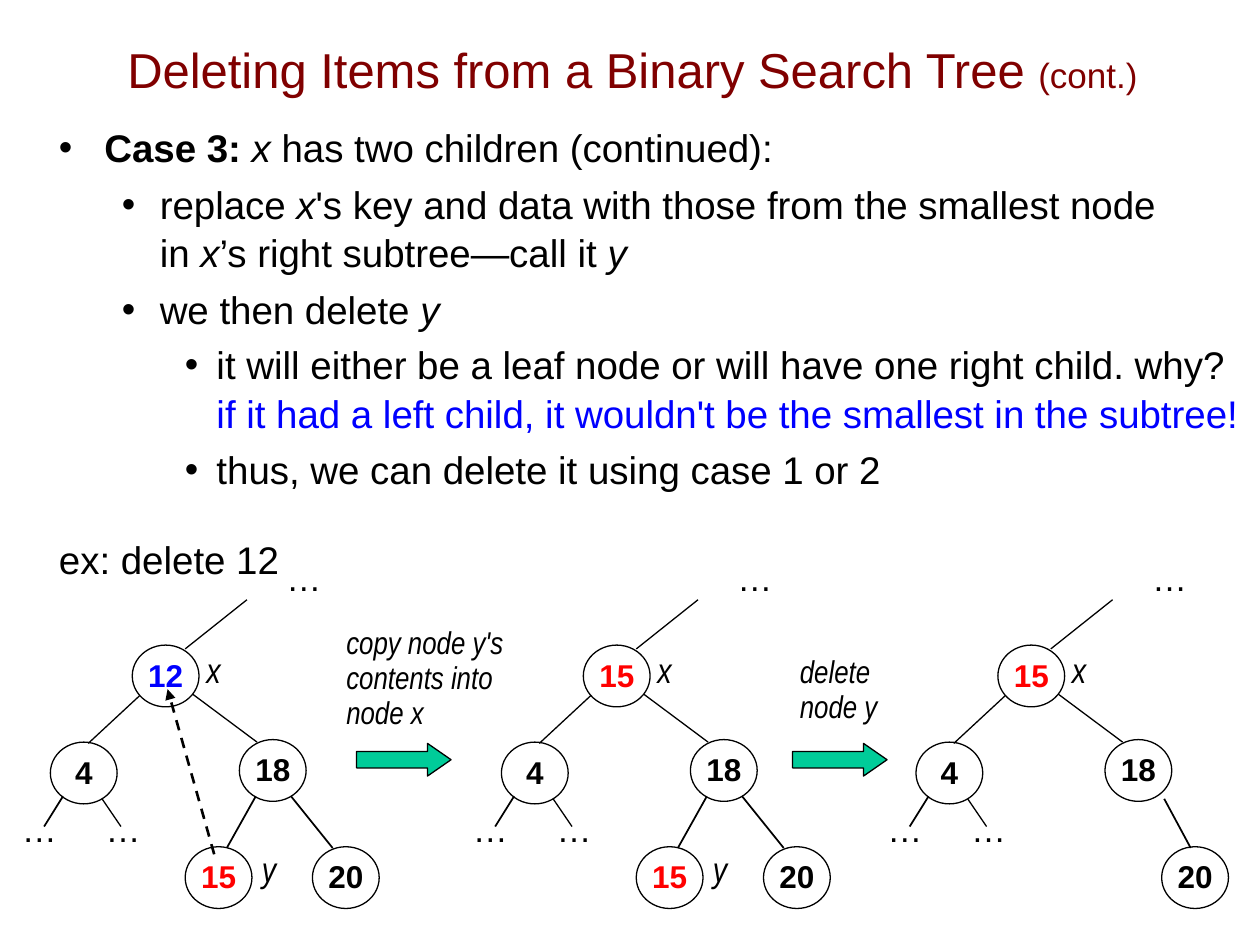
from lxml.etree import SubElement
from pptx import Presentation
from pptx.dml.color import RGBColor
from pptx.enum.dml import MSO_LINE
from pptx.enum.shapes import MSO_CONNECTOR, MSO_SHAPE
from pptx.enum.text import MSO_ANCHOR, PP_ALIGN
from pptx.oxml.ns import qn
from pptx.util import Inches, Pt

SLIDE_W, SLIDE_H = Inches(10), Inches(7.5)
COL, ROW = SLIDE_W / 100, SLIDE_H / 75

BLACK = RGBColor(0x00, 0x00, 0x00)
WHITE = RGBColor(0xFF, 0xFF, 0xFF)
MAROON = RGBColor(0x80, 0x00, 0x00)
BLUE = RGBColor(0x00, 0x00, 0xFF)
RED = RGBColor(0xFF, 0x00, 0x00)
GREEN = RGBColor(0x00, 0xCC, 0x99)

BOLD = {"bold": True}
ITALIC = {"italic": True}
LABEL = {"size": 20, "font": "Arial Narrow", "italic": True}
CAPTION = {"size": 18, "font": "Arial Narrow", "italic": True}

TREE_TOP, TREE_W, TREE_H = 43.7, 30, 28.4
NODE_W, NODE_H = 5.3, 4.9
ROOT, LEFT, RIGHT = (9.8, 7.5), (3.3, 15.2), (18.3, 15)
SMALLEST, LARGEST, LARGEST_ALONE = (14, 23.5), (24.1, 23.5), (22.8, 23.5)
TREE_EDGES = [
    ((18.9, 3.9), (14, 7.8), 0.75),
    ((10.4, 11.5), (6.3, 15.3), 0.75),
    ((14.6, 11.4), (19.7, 15.2), 0.75),
    ((7.4, 19.7), (8.9, 21.9), 0.75),
    ((4.3, 19.5), (2.8, 21.9), 1),
]
FULL_EDGES = [((22.4, 19.5), (25.7, 23.6), 1), ((19.6, 19.5), (17.3, 23.6), 1)]
PRUNED_EDGES = [((23, 19.7), (25.1, 23.6), 1)]
ELLIPSES = [(21, 0), (0, 19.9), (6.65, 19.9)]

BODY = [
    (0, 0, [("Case 3: ", BOLD), ("x", ITALIC), (" has two children (continued):", {})]),
    (1, 5.2, [("replace ", {}), ("x", ITALIC),
              ("'s key and data with those from the smallest node \nin ", {}),
              ("x", ITALIC), ("’s right subtree—call it ", {}), ("y", ITALIC)]),
    (1, 5.2, [("we then delete ", {}), ("y", ITALIC)]),
    (2, 4.2, [("it will either be a leaf node or will have one right child. why?\n", {}),
              ("if it had a left child, it wouldn't be the smallest in the subtree!",
               {"color": BLUE})]),
    (2, 5, [("thus, we can delete it using case 1 or 2", {})]),
    (None, 24, [("ex: delete 12", {})]),
]
INDENTS = [(3.6, 3.6), (8, 3), (12.5, 2.5)]


def grid(left, top, width, height):
    return int(left * COL), int(top * ROW), int(width * COL), int(height * ROW)


def write(paragraph, text, size=22, font="Arial", color=BLACK, bold=False, italic=False):
    for index, line in enumerate(text.split("\n")):
        if index:
            paragraph.add_line_break()
        if line:
            run = paragraph.add_run()
            run.text = line
            run.font.size = Pt(size)
            run.font.name = font
            run.font.color.rgb = color
            run.font.bold = bold
            run.font.italic = italic


def text_area(slide, box, wrap=True):
    frame = slide.shapes.add_textbox(*grid(*box)).text_frame
    frame.word_wrap = wrap
    return frame


def label(slide, box, text, align=PP_ALIGN.RIGHT, leading=None, **text_format):
    paragraph = text_area(slide, box, wrap=False).paragraphs[0]
    paragraph.alignment = align
    if leading:
        paragraph.line_spacing = Pt(leading)
    write(paragraph, text, **text_format)


def preset(slide, kind, box, fill=None, outline=None):
    shape = slide.shapes.add_shape(kind, *grid(*box))
    shape.shadow.inherit = False
    if fill is None:
        shape.fill.background()
    else:
        shape.fill.solid()
        shape.fill.fore_color.rgb = fill
    if outline is None:
        shape.line.fill.background()
    else:
        shape.line.color.rgb = outline
        shape.line.width = Pt(0.75)
    return shape


def edge(slide, origin, start, end, weight):
    left, top = origin
    x1, y1, x2, y2 = grid(left + start[0], top + start[1], left + end[0], top + end[1])
    link = slide.shapes.add_connector(MSO_CONNECTOR.STRAIGHT, x1, y1, x2, y2)
    link.line.color.rgb = BLACK
    link.line.width = Pt(weight)
    SubElement(link._element.spPr, qn("a:effectLst"))
    return link


def node(slide, origin, place, key, color=BLACK):
    left, top = origin[0] + place[0], origin[1] + place[1]
    key_box = preset(slide, MSO_SHAPE.RECTANGLE, (left - 0.4, top + 0.3, 6.1, 4.1), WHITE)
    paragraph = key_box.text_frame.paragraphs[0]
    paragraph.alignment = PP_ALIGN.CENTER
    write(paragraph, key, size=18, color=color, bold=True)
    preset(slide, MSO_SHAPE.OVAL, (left, top, NODE_W, NODE_H), outline=BLACK)


def title(slide, box):
    frame = text_area(slide, box)
    frame.vertical_anchor = MSO_ANCHOR.MIDDLE
    heading = frame.paragraphs[0]
    heading.alignment = PP_ALIGN.CENTER
    write(heading, "Deleting Items from a Binary Search Tree ", size=28, color=MAROON)
    write(heading, "(cont.)", size=20, color=MAROON)


def body(slide, box):
    frame = text_area(slide, box)
    for index, (level, space, runs) in enumerate(BODY):
        paragraph = frame.add_paragraph() if index else frame.paragraphs[0]
        paragraph.space_before = Pt(space)
        paragraph.line_spacing = 1.04
        for text, text_format in runs:
            write(paragraph, text, **text_format)
        if level is not None:
            margin, hang = INDENTS[level]
            properties = paragraph._p.get_or_add_pPr()
            properties.set("marL", str(int(margin * COL)))
            properties.set("indent", str(int(-hang * COL)))
            SubElement(properties, qn("a:buFont"), typeface="Arial")
            SubElement(properties, qn("a:buChar"), char="•")


def tree(slide, box, root_key, root_color, pruned=False):
    origin = left, top = box[:2]
    node(slide, origin, ROOT, root_key, root_color)
    node(slide, origin, LEFT, "4")
    node(slide, origin, RIGHT, "18")
    node(slide, origin, LARGEST_ALONE if pruned else LARGEST, "20")
    if not pruned:
        node(slide, origin, SMALLEST, "15", RED)
        label(slide, (left + 19, top + 23.1, 3.2, 4.3), "y", **LABEL)
    label(slide, (left + 14.6, top + 7.3, 3.2, 4.3), "x", **LABEL)
    for start, end, weight in TREE_EDGES + (PRUNED_EDGES if pruned else FULL_EDGES):
        edge(slide, origin, start, end, weight)
    for x, y in ELLIPSES:
        label(slide, (left + x, top + y, 4.8, 4.4), "…", size=20)


def copy_arrow(slide, box):
    arrow = edge(slide, box[:2], (16.3, 24.1), (12.6, 11), 1.5)
    arrow.line.dash_style = MSO_LINE.DASH
    SubElement(arrow.line._get_or_add_ln(), qn("a:tailEnd"), type="triangle")


def step(slide, caption_box, arrow_left, caption):
    label(slide, caption_box, caption, align=PP_ALIGN.LEFT, leading=20, **CAPTION)
    arrow = preset(slide, MSO_SHAPE.RIGHT_ARROW, (arrow_left, 59, 7.5, 2.6), GREEN, BLACK)
    arrow.adjustments[1] = 0.72


def main():
    deck = Presentation()
    deck.slide_width, deck.slide_height = SLIDE_W, SLIDE_H
    slide = deck.slides.add_slide(deck.slide_layouts[6])
    title(slide, (4.3, 0.8, 91.8, 9.3))
    body(slide, (3.7, 9.2, 96.3, 61.4))
    before, copied, deleted = [(left, TREE_TOP, TREE_W, TREE_H) for left in (0.7, 36.5, 69.4)]
    tree(slide, before, "12", BLUE)
    copy_arrow(slide, before)
    step(slide, (26.5, 49.2, 15.2, 9.4), 28.3, "copy node y's\ncontents into \nnode x")
    tree(slide, copied, "15", RED)
    step(slide, (62.5, 51.5, 8.8, 6.6), 62.9, "delete \nnode y")
    tree(slide, deleted, "15", RED, pruned=True)
    deck.save("out.pptx")


if __name__ == "__main__":
    main()
